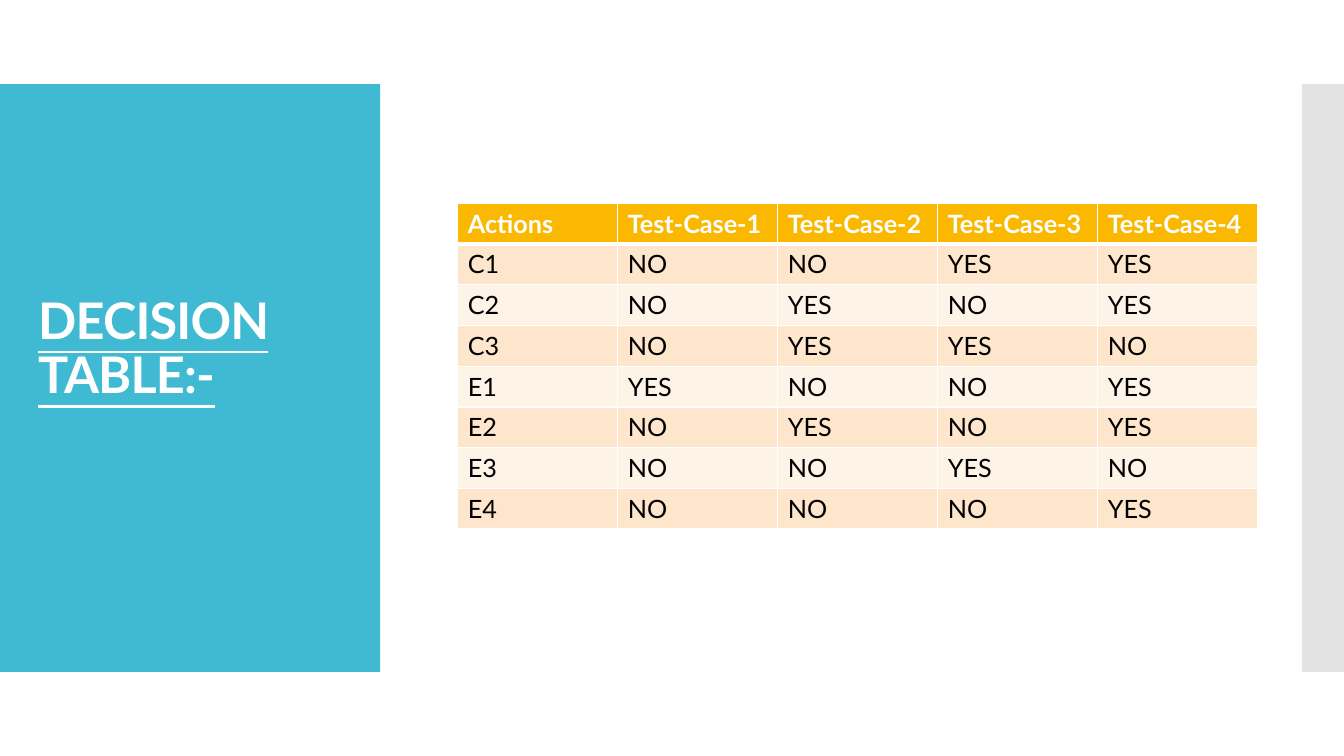
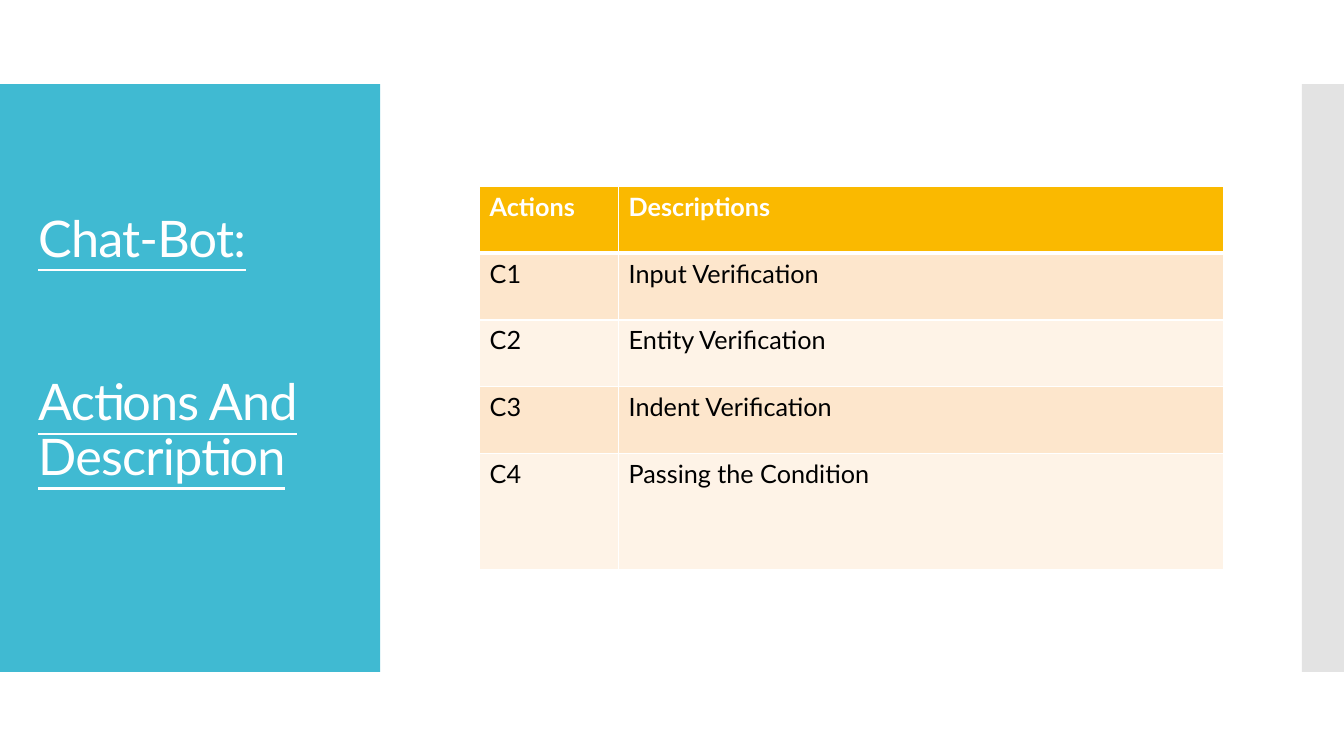
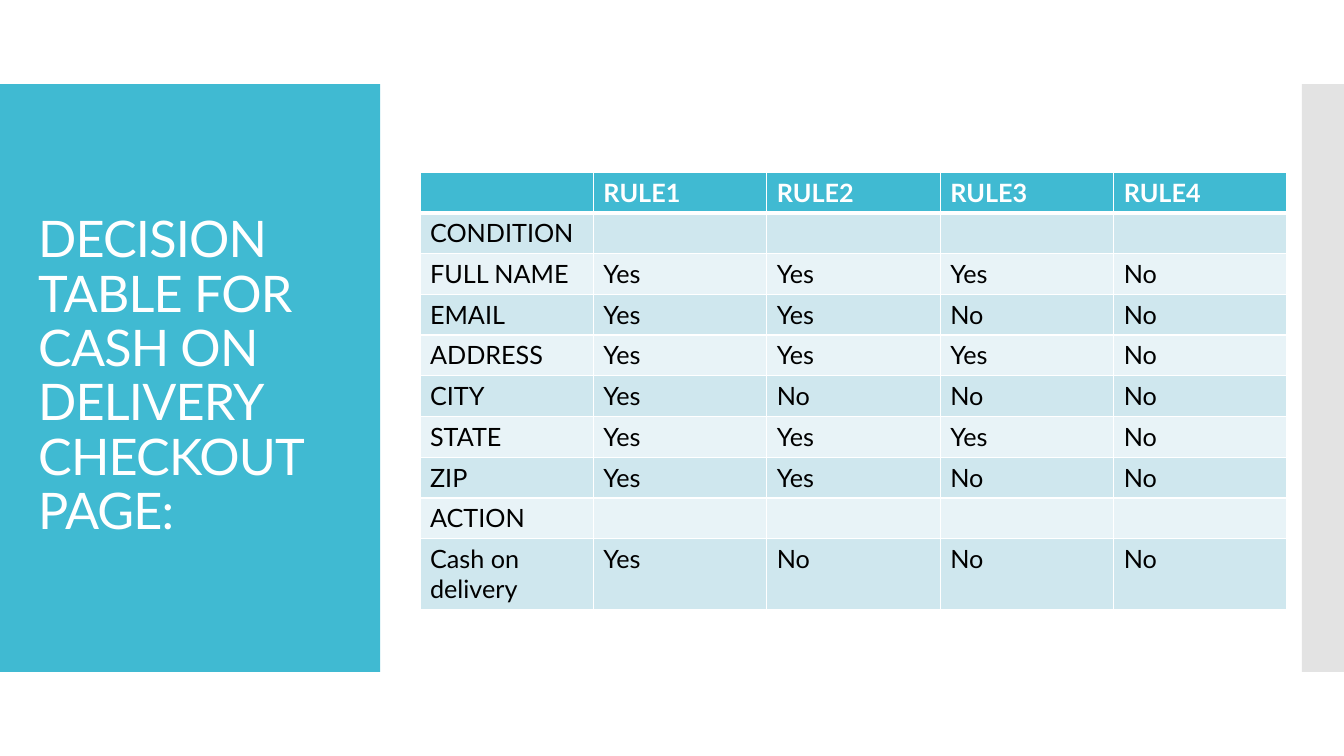
"""Builds three slides of decision tables beside a coloured title band."""
import lxml.etree
import pptx
import pptx.dml.color
import pptx.enum.shapes
import pptx.enum.text
import pptx.oxml.ns
import pptx.util

RGB = pptx.dml.color.RGBColor
WHITE = RGB(0xFF, 0xFF, 0xFF)
BLACK = RGB(0x00, 0x00, 0x00)
TEAL = RGB(0x40, 0xBA, 0xD2)
GREY = RGB(0xC8, 0xC8, 0xC8)
AMBER = RGB(0xFA, 0xB9, 0x00)
AMBER_BANDS = (RGB(0xFD, 0xE6, 0xCC), RGB(0xFE, 0xF3, 0xE7))
TEAL_BANDS = (RGB(0xCF, 0xE7, 0xEE), RGB(0xE8, 0xF3, 0xF7))

GRID_COLUMNS, GRID_ROWS = 32, 18
UNIT = pptx.util.Inches(5) // 12
LINE = 0.97
TITLE_LINE = pptx.util.Pt(39)
TITLE_AREA = (0.67, 2.95, 7.73, 12.07)
TITLE_FRAME = {
    "word_wrap": True,
    "auto_size": pptx.enum.text.MSO_AUTO_SIZE.NONE,
    "vertical_anchor": pptx.enum.text.MSO_ANCHOR.MIDDLE,
}
TITLE_FONT = {"name": "Lato", "size": pptx.util.Pt(36)}
CELL_FONT = {"name": "Lato", "size": pptx.util.Pt(18)}
qn = pptx.oxml.ns.qn


def grid(*cells):
    return [round(cell * UNIT) for cell in cells]


def apply(target, values):
    for name, value in values.items():
        setattr(target, name, value)


def style_font(font, color, values):
    apply(font, values)
    font.color.rgb = color


def add_layout_band(slide, number, area, color, opacity=None):
    band = slide.shapes.add_shape(
        pptx.enum.shapes.MSO_SHAPE.RECTANGLE, *grid(*area))
    band.shadow.inherit = False
    band.fill.solid()
    band.fill.fore_color.rgb = color
    band.line.fill.background()
    if opacity is not None:
        tint = band.element.find(".//" + qn("a:srgbClr"))
        lxml.etree.SubElement(tint, qn("a:alpha"), val=str(opacity * 1000))
    band.element.nvSpPr.cNvPr.set("id", str(100 + number))
    slide.slide_layout.shapes.element.insert(2 + number, band.element)


def set_title(slide, paragraphs, gap_lines=0, lines_below=0, **emphasis):
    title = slide.shapes.title
    apply(title, dict(zip(("left", "top", "width", "height"), grid(*TITLE_AREA))))
    frame = title.text_frame
    frame.text = "\n".join(paragraphs)
    apply(frame, TITLE_FRAME)
    frame.margin_bottom = pptx.util.Inches(0.05) + lines_below * TITLE_LINE
    for index, paragraph in enumerate(frame.paragraphs):
        paragraph.alignment = pptx.enum.text.PP_ALIGN.LEFT
        paragraph.line_spacing = 0.9
        paragraph.space_before = gap_lines * TITLE_LINE if index else 0
        for run in paragraph.runs:
            style_font(run.font, WHITE, {**TITLE_FONT, **emphasis})
            run.font._element.set("spc", "-60")


def set_borders(cell, row):
    widths = {"L": 1, "R": 1, "T": 3 if row == 1 else 1, "B": 1 if row else 3}
    properties = cell._tc.get_or_add_tcPr()
    for position, (side, width) in enumerate(widths.items()):
        border = lxml.etree.Element(qn("a:ln" + side), w=str(pptx.util.Pt(width)))
        fill = lxml.etree.SubElement(border, qn("a:solidFill"))
        lxml.etree.SubElement(fill, qn("a:srgbClr"), val=str(WHITE))
        properties.insert(position, border)


def add_grid_table(slide, corner, widths, heights, full_height, rows, header, bands):
    frame = slide.shapes.add_table(
        len(rows), len(widths), *grid(*corner, sum(widths), full_height))
    table = frame.table
    for column, width in zip(table.columns, grid(*widths)):
        column.width = width
    for row, height in zip(table.rows, grid(*heights)):
        row.height = height
    frame.height = grid(full_height)[0]
    for r, texts in enumerate(rows):
        for c, text in enumerate(texts):
            cell = table.cell(r, c)
            cell.text = text
            cell.fill.solid()
            cell.fill.fore_color.rgb = bands[(r - 1) % 2] if r else header
            set_borders(cell, r)
            style_font(cell.text_frame.paragraphs[0].font,
                       BLACK if r else WHITE, CELL_FONT)
            for run in cell.text_frame.paragraphs[0].runs:
                style_font(run.font, BLACK if r else WHITE,
                           {**CELL_FONT, "bold": r == 0})


def add_test_cases(slide):
    set_title(slide, ["DECISION TABLE:-"], lines_below=1, bold=True, underline=True)
    cases = [
        "Actions Test-Case-1 Test-Case-2 Test-Case-3 Test-Case-4",
        "C1 NO NO YES YES",
        "C2 NO YES NO YES",
        "C3 NO YES YES NO",
        "E1 YES NO NO YES",
        "E2 NO YES NO YES",
        "E3 NO NO YES NO",
        "E4 NO NO NO YES",
    ]
    add_grid_table(slide, (10.9, 4.85), [3.81] * 5, [0.62] + [LINE] * 7, 7.78,
                   [case.split() for case in cases], AMBER, AMBER_BANDS)


def add_chat_bot(slide):
    set_title(slide, ["Chat-Bot:", "Actions And Description"],
              gap_lines=2, lines_below=1, underline=True)
    descriptions = [
        ("Actions", "Descriptions"),
        ("C1", "Input Verification"),
        ("C2", "Entity Verification"),
        ("C3", "Indent Verification"),
        ("C4", "Passing the Condition"),
    ]
    add_grid_table(slide, (11.42, 4.44), [3.31, 14.4], [1.59] * 4 + [2.76], 9.14,
                   descriptions, AMBER, AMBER_BANDS)


def add_checkout(slide):
    set_title(slide, ["DECISION TABLE FOR CASH ON DELIVERY CHECKOUT PAGE:"])
    rules = [
        ("", "RULE1 RULE2 RULE3 RULE4"),
        ("CONDITION", ""),
        ("FULL NAME", "Yes Yes Yes No"),
        ("EMAIL", "Yes Yes No No"),
        ("ADDRESS", "Yes Yes Yes No"),
        ("CITY", "Yes No No No"),
        ("STATE", "Yes Yes Yes No"),
        ("ZIP", "Yes Yes No No"),
        ("ACTION", ""),
        ("Cash on delivery", "Yes No No No"),
    ]
    rows = [[field] + (answers.split() or [""] * 4) for field, answers in rules]
    add_grid_table(slide, (10, 4.1), [4.13] * 5, [LINE] * 10, 10.44,
                   rows, TEAL, TEAL_BANDS)


def main():
    deck = pptx.Presentation()
    deck.slide_width, deck.slide_height = grid(GRID_COLUMNS, GRID_ROWS)
    title_only = deck.slide_layouts[5]
    builders = (add_test_cases, add_chat_bot, add_checkout)
    slides = [deck.slides.add_slide(title_only) for _ in builders]
    add_layout_band(slides[0], 0, (0, 2, 9.05, 14), TEAL)
    add_layout_band(slides[0], 1, (GRID_COLUMNS - 1, 2, 1, 14), GREY, opacity=50)
    for build, slide in zip(builders, slides):
        build(slide)
    deck.save("out.pptx")


main()
